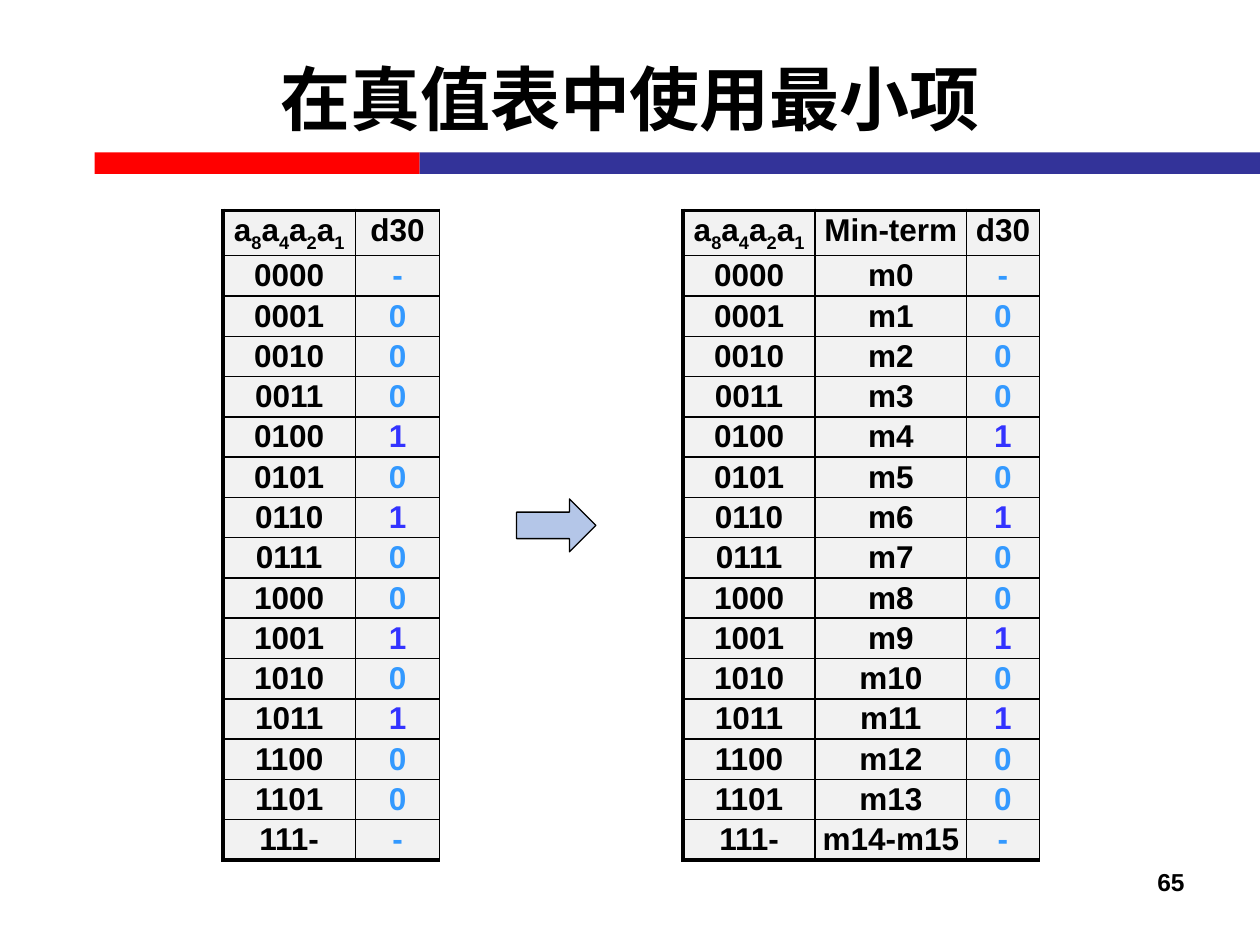
"""Build a slide that rewrites a truth table with minterms."""
from dataclasses import dataclass

from lxml import etree
from pptx import Presentation
from pptx.dml.color import RGBColor
from pptx.enum import shapes, text
from pptx.oxml import ns
from pptx.util import Inches, Pt

FONT = "Arial"
BLACK = RGBColor(0x00, 0x00, 0x00)
RED = RGBColor(0xFF, 0x00, 0x00)
NAVY = RGBColor(0x33, 0x33, 0x99)
GREY = RGBColor(0xF2, 0xF2, 0xF2)
PALE_BLUE = RGBColor(0xB4, 0xC6, 0xE8)
SKY = RGBColor(0x33, 0x99, 0xFF)
BLUE = RGBColor(0x33, 0x33, 0xFF)

THIN, THICK = 1, 2.25
INPUTS = [f"{i:04b}" for i in range(14)] + ["111-"]
MINTERMS = [f"m{i}" for i in range(14)] + ["m14-m15"]
OUTPUTS = "-0000101001010--"[:1] + "0001010010100" + "--"
INPUT_HEADER = "a_8_a_4_a_2_a_1"


@dataclass(frozen=True)
class Block:
    shape: shapes.MSO_SHAPE
    left: float
    top: float
    width: float
    height: float
    fill: RGBColor
    outlined: bool = False


@dataclass(frozen=True)
class TruthTable:
    left: float
    widths: tuple[float, ...]
    rows: list[tuple[str, ...]]


BLOCKS = [
    Block(shapes.MSO_SHAPE.RECTANGLE, 0.75, 1.21, 2.58, 0.17, RED),
    Block(shapes.MSO_SHAPE.RECTANGLE, 3.33, 1.21, 6.67, 0.17, NAVY),
    Block(shapes.MSO_SHAPE.RIGHT_ARROW, 4.1, 3.96, 0.63, 0.42, PALE_BLUE, True),
]
TABLES = [
    TruthTable(1.77, (1.05, 0.67),
               [(INPUT_HEADER, "d30"), *zip(INPUTS, OUTPUTS)]),
    TruthTable(5.42, (1.05, 1.2, 0.58),
               [(INPUT_HEADER, "Min-term", "d30"), *zip(INPUTS, MINTERMS, OUTPUTS)]),
]


def style_run(r, size: float, color: RGBColor = BLACK) -> None:
    """Apply the slide's bold face to a run."""
    r.font.name = FONT
    r.font.size = Pt(size)
    r.font.bold = True
    r.font.color.rgb = color


def set_borders(cell, left: float, right: float, top: float, bottom: float) -> None:
    """Draw the four borders of a cell with widths in points."""
    tc_pr = cell._tc.get_or_add_tcPr()
    for side, width in zip("LRTB", (left, right, top, bottom)):
        ln = etree.SubElement(tc_pr, ns.qn(f"a:ln{side}"), w=str(Pt(width)))
        fill = etree.SubElement(ln, ns.qn("a:solidFill"))
        etree.SubElement(fill, ns.qn("a:srgbClr"), val=str(BLACK))


def fill_cell(cell, label: str, color: RGBColor) -> None:
    """Write a centred label whose every second part is a subscript."""
    cell.margin_left = cell.margin_right = Inches(0.04)
    cell.margin_top = cell.margin_bottom = Inches(0.02)
    cell.fill.solid()
    cell.fill.fore_color.rgb = GREY
    p = cell.text_frame.paragraphs[0]
    p.alignment = text.PP_ALIGN.CENTER
    for i, part in enumerate(label.split("_")):
        r = p.add_run()
        r.text = part
        style_run(r, 18, color)
        if i % 2:
            r.font._element.set("baseline", "-25000")


def add_truth_table(s, spec: TruthTable) -> None:
    """Add a truth table with a heavy left, top and bottom edge."""
    last = len(spec.rows) - 1
    frame = s.shapes.add_table(len(spec.rows), len(spec.widths), Inches(spec.left),
                               Inches(1.67), Inches(sum(spec.widths)), Inches(5.43))
    table = frame.table
    table.first_row = table.horz_banding = False
    for column, width in zip(table.columns, spec.widths):
        column.width = Inches(width)
    for i, labels in enumerate(spec.rows):
        table.rows[i].height = Inches(0.23)
        for j, label in enumerate(labels):
            cell = table.cell(i, j)
            set_borders(cell, THIN if j else THICK, THIN,
                        THIN if i else THICK, THICK if i == last else THIN)
            is_output = i > 0 and j == len(labels) - 1
            color = (BLUE if label == "1" else SKY) if is_output else BLACK
            fill_cell(cell, label, color)
    frame.height = Inches(5.43)


def add_block(s, block: Block) -> None:
    """Add a filled shape, outlined in black on request."""
    sp = s.shapes.add_shape(block.shape, Inches(block.left), Inches(block.top),
                            Inches(block.width), Inches(block.height))
    sp.shadow.inherit = False
    sp.fill.solid()
    sp.fill.fore_color.rgb = block.fill
    if block.outlined:
        sp.line.color.rgb = BLACK
        sp.line.width = Pt(0.75)
    else:
        sp.line.fill.background()


def set_text(sp, label: str, size: float, align: text.PP_ALIGN) -> None:
    """Write one styled line into a shape."""
    tf = sp.text_frame
    tf.word_wrap = True
    tf.text = label
    p = tf.paragraphs[0]
    p.alignment = align
    style_run(p.runs[0], size)


def main() -> None:
    """Assemble and save the slide."""
    prs = Presentation()
    prs.slide_width, prs.slide_height = Inches(10), Inches(7.5)
    s = prs.slides.add_slide(prs.slide_layouts[5])

    title = s.shapes.title
    title.left, title.top = Inches(0.5), Inches(0.15)
    title.width, title.height = Inches(9), Inches(1.25)
    set_text(title, "在真值表中使用最小项", 40, text.PP_ALIGN.CENTER)
    title.text_frame.vertical_anchor = text.MSO_ANCHOR.MIDDLE

    for block in BLOCKS:
        add_block(s, block)
    for spec in TABLES:
        add_truth_table(s, spec)

    number = s.shapes.add_textbox(Inches(7.17), Inches(6.83), Inches(2.33), Inches(0.52))
    set_text(number, "65", 14, text.PP_ALIGN.RIGHT)
    prs.save("out.pptx")


if __name__ == "__main__":
    main()
